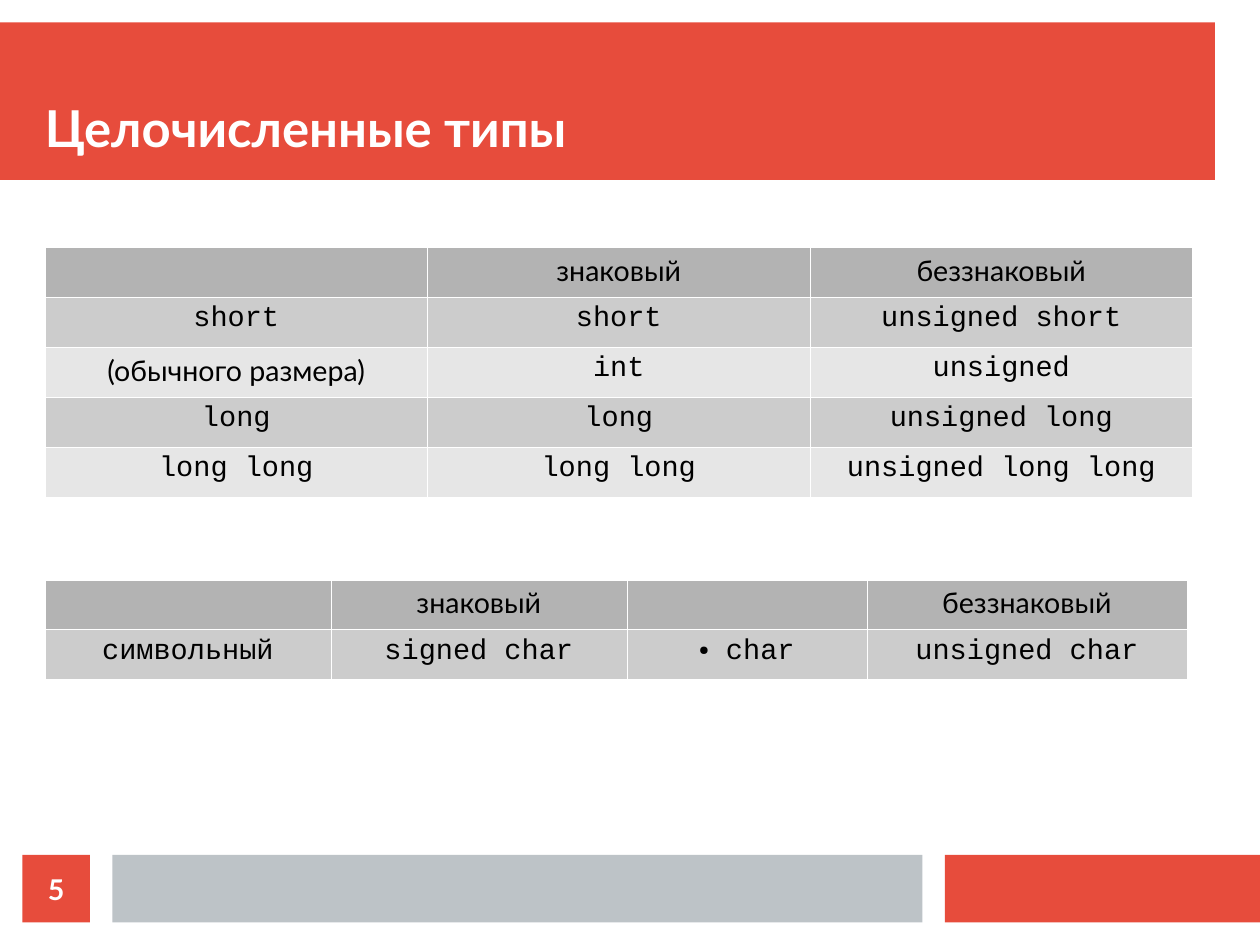
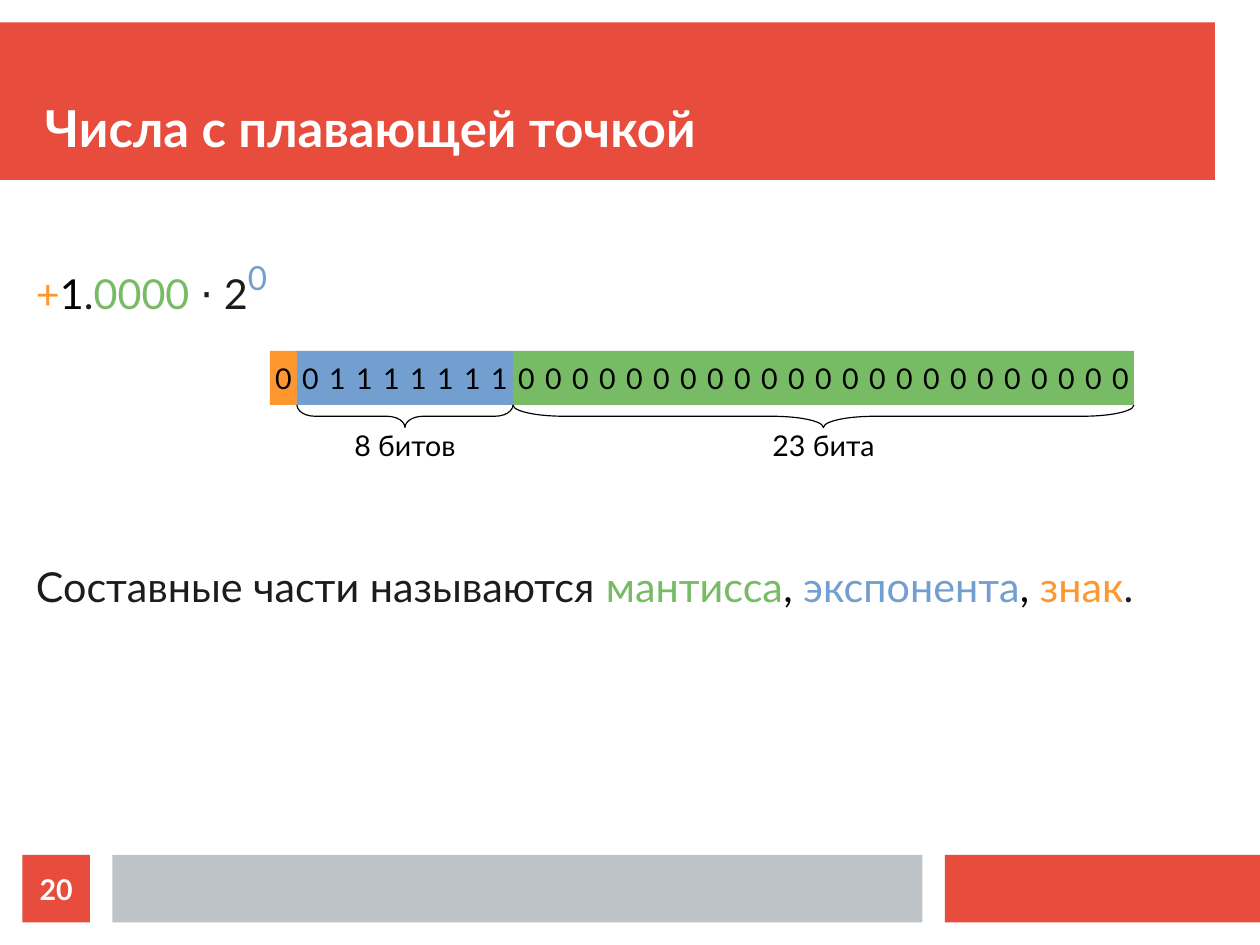
from lxml.etree import SubElement
from pptx import Presentation
from pptx.dml.color import RGBColor
from pptx.enum.shapes import MSO_SHAPE
from pptx.enum.text import MSO_ANCHOR, PP_ALIGN
from pptx.oxml.ns import qn
from pptx.util import Cm, Pt

COLORS = {
    "red": "E74C3C", "silver": "BDC3C7", "white": "FFFFFF", "black": "000000",
    "ink": "1C1C1C", "orange": "FF972F", "blue": "729FCF", "green": "77BC65",
    "header": "B3B3B3", "odd": "CCCCCC", "even": "E6E6E6",
}
SANS, MONO = "Lato", "Courier New"
BIT_WIDTH, BIT_HEIGHT = 0.6, 1.2
BITS_LEFT, BITS_TOP = 6, 7.8
BRACE_HEIGHT = 0.5


def rgb(name):
    return RGBColor.from_string(COLORS[name])


class SlideBuilder:
    def __init__(self):
        self.deck = Presentation()
        self.deck.slide_width, self.deck.slide_height = Cm(28), Cm(21)
        self.page = None

    def new_page(self, title, number):
        self.page = self.deck.slides.add_slide(self.deck.slide_layouts[6])
        self.block(0, 0.5, 27, 3.5, "red")
        self.block(21, 19, 7, 1.5, "red")
        self.block(2.5, 19, 18, 1.5, "silver")
        self.text(1, 1, 26, 2.5, [(title, "white")], size=32, bold=True,
                  anchor=MSO_ANCHOR.BOTTOM)
        badge = self.block(0.5, 19, 1.5, 1.5, "red")
        self.fill_text(badge.text_frame, [(number, "white")], bold=True,
                       align=PP_ALIGN.CENTER, anchor=MSO_ANCHOR.MIDDLE)

    def block(self, left, top, width, height, color):
        shape = self.page.shapes.add_shape(
            MSO_SHAPE.RECTANGLE, Cm(left), Cm(top), Cm(width), Cm(height))
        shape.shadow.inherit = False
        shape.fill.solid()
        shape.fill.fore_color.rgb = rgb(color)
        shape.line.fill.background()
        return shape

    def add_spans(self, para, spans, size, font=SANS, bold=False):
        """Add runs given as (text, color) or (text, color, size, baseline)."""
        for text, color, *raised in spans:
            span = para.add_run()
            span.text = text
            span.font.name, span.font.bold = font, bold
            span.font.size = Pt(raised[0] if raised else size)
            span.font.color.rgb = rgb(color)
            if raised:
                span.font._element.set("baseline", str(raised[1] * 1000))

    def fill_text(self, frame, spans, size=18, bold=False, align=PP_ALIGN.LEFT,
                  anchor=MSO_ANCHOR.TOP, wrap=True):
        frame.margin_left = frame.margin_right = 0
        frame.margin_top = frame.margin_bottom = 0
        frame.word_wrap = wrap
        frame.vertical_anchor = anchor
        para = frame.paragraphs[0]
        para.alignment = align
        self.add_spans(para, spans, size, bold=bold)

    def text(self, left, top, width, height, spans, **style):
        box = self.page.shapes.add_textbox(
            Cm(left), Cm(top), Cm(width), Cm(height))
        self.fill_text(box.text_frame, spans, **style)

    def table(self, left, top, widths, rows, row_height=1.11):
        """Add a banded table; every cell is None or (text, font)."""
        grid = self.page.shapes.add_table(
            len(rows), len(widths), Cm(left), Cm(top),
            Cm(sum(widths)), Cm(row_height * len(rows))).table
        grid.first_row = grid.horz_banding = False
        for column, width in zip(grid.columns, widths):
            column.width = Cm(width)
        for row_index, row in enumerate(rows):
            grid.rows[row_index].height = Cm(row_height)
            band = "header" if row_index == 0 else ("even", "odd")[row_index % 2]
            for column_index, content in enumerate(row):
                cell = grid.cell(row_index, column_index)
                self.border(cell)
                cell.fill.solid()
                cell.fill.fore_color.rgb = rgb(band)
                para = cell.text_frame.paragraphs[0]
                para.alignment = PP_ALIGN.CENTER
                if content:
                    text, font = content
                    self.add_spans(para, [(text, "black")], 18, font)
        return grid

    def border(self, cell):
        properties = cell._tc.get_or_add_tcPr()
        for side in ("a:lnL", "a:lnR", "a:lnT", "a:lnB"):
            line = SubElement(properties, qn(side), w=str(Pt(0.06)))
            fill = SubElement(line, qn("a:solidFill"))
            SubElement(fill, qn("a:srgbClr"), val=COLORS["white"])

    def bullet(self, para):
        properties = para._p.get_or_add_pPr()
        properties.set("marL", str(Cm(0.6)))
        properties.set("indent", str(-Cm(0.6)))
        color = SubElement(properties, qn("a:buClr"))
        SubElement(color, qn("a:srgbClr"), val=COLORS["black"])
        SubElement(properties, qn("a:buSzPct"), val="45000")
        SubElement(properties, qn("a:buChar"), char="●")

    def bit(self, index, digit, color):
        cell = self.block(BITS_LEFT + index * BIT_WIDTH, BITS_TOP,
                          BIT_WIDTH, BIT_HEIGHT, color)
        self.fill_text(cell.text_frame, [(digit, "black")], wrap=False,
                       align=PP_ALIGN.CENTER, anchor=MSO_ANCHOR.MIDDLE)

    def brace(self, first, count, label):
        """Draw a labelled brace under a group of bits."""
        length = count * BIT_WIDTH
        center = BITS_LEFT + first * BIT_WIDTH + length / 2
        top = BITS_TOP + BIT_HEIGHT
        shape = self.page.shapes.add_shape(
            MSO_SHAPE.LEFT_BRACE, Cm(center - BRACE_HEIGHT / 2),
            Cm(top + BRACE_HEIGHT / 2 - length / 2), Cm(BRACE_HEIGHT), Cm(length))
        shape.rotation = 270
        shape.adjustments[0] = length / 12 / BRACE_HEIGHT
        shape.shadow.inherit = False
        shape.fill.background()
        shape.line.color.rgb = rgb("black")
        shape.line.width = Pt(0)
        self.text(center - 1.7, top + BRACE_HEIGHT, 3.4, 0.8, [(label, "black")],
                  align=PP_ALIGN.CENTER, anchor=MSO_ANCHOR.MIDDLE, wrap=False)


def integer_types(builder):
    builder.new_page("Целочисленные типы", "5")
    signed, unsigned = ("знаковый", SANS), ("беззнаковый", SANS)
    names = [
        (("short", MONO), "short", "unsigned short"),
        (("(обычного размера)", SANS), "int", "unsigned"),
        (("long", MONO), "long", "unsigned long"),
        (("long long", MONO), "long long", "unsigned long long"),
    ]
    builder.table(1, 5.5, [8.5] * 3, [(None, signed, unsigned)] + [
        (kind, (plain, MONO), (positive, MONO)) for kind, plain, positive in names])
    char_names = ("символьный", "signed char", "char", "unsigned char")
    char_table = builder.table(1, 12.88, [6.35, 6.58, 5.33, 7.12], [
        (None, signed, None, unsigned), [(name, MONO) for name in char_names]])
    builder.bullet(char_table.cell(1, 2).text_frame.paragraphs[0])


def floating_point(builder):
    builder.new_page("Числа с плавающей точкой", "20")
    builder.text(0.8, 5.6, 25, 1.6, [
        ("+", "orange"), ("1", "black"), (".", "ink"), ("0000", "green"),
        (" ⋅ 2", "ink"), ("0", "blue", 36, 33)], size=26)
    builder.text(0.8, 12.48, 25, 1.2, [
        ("Составные части называются ", "ink"), ("мантисса", "green"),
        (", ", "black"), ("экспонента", "blue"), (", ", "black"),
        ("знак", "orange"), (".", "ink")], size=26)
    first = 0
    for digits, color, label in (("0", "orange", None),
                                 ("01111111", "blue", "8 битов"),
                                 ("0" * 23, "green", "23 бита")):
        for index, digit in enumerate(digits, first):
            builder.bit(index, digit, color)
        if label:
            builder.brace(first, len(digits), label)
        first += len(digits)


def main():
    builder = SlideBuilder()
    integer_types(builder)
    floating_point(builder)
    builder.deck.save("out.pptx")


if __name__ == "__main__":
    main()
